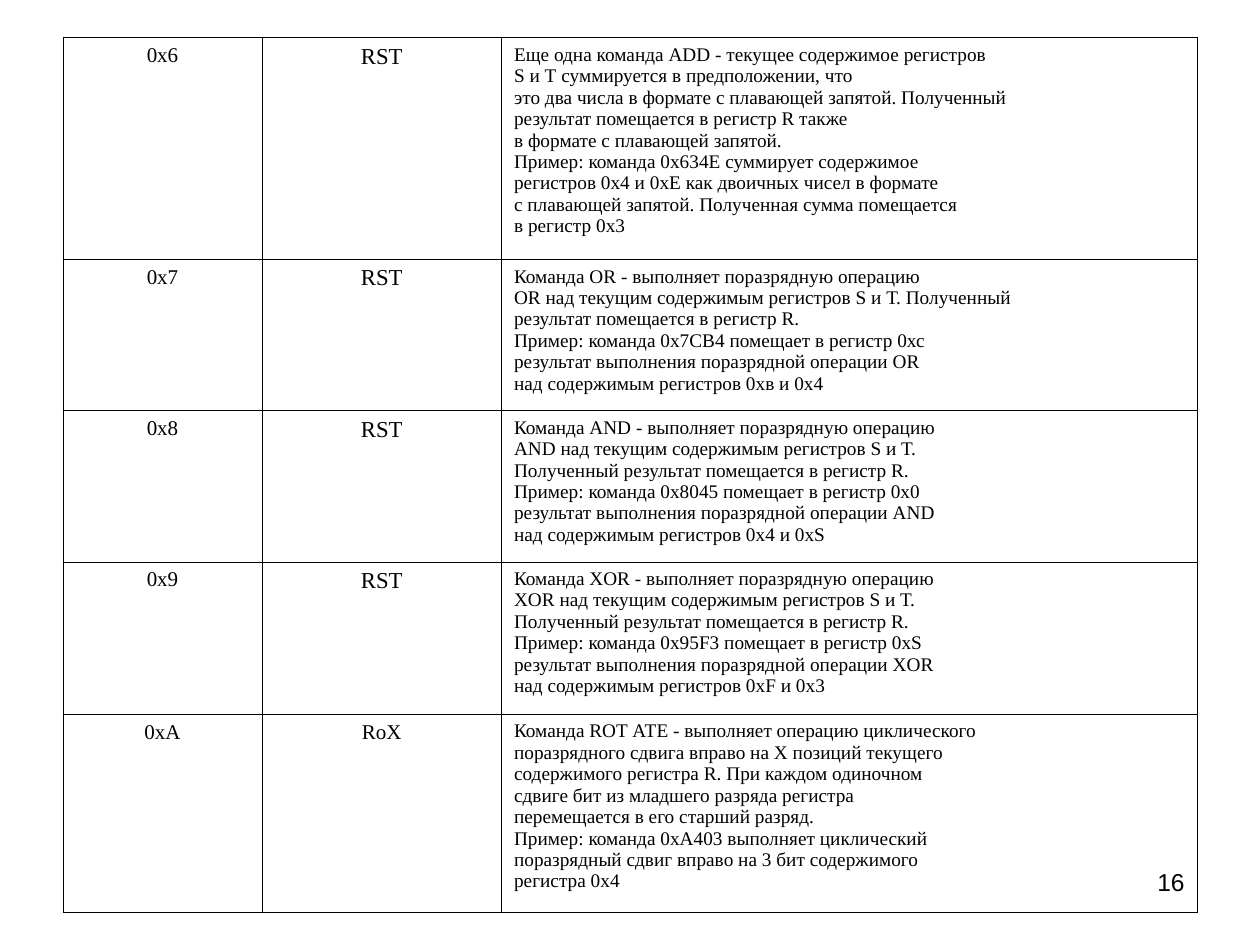
from lxml import etree
from pptx import Presentation
from pptx.dml.color import RGBColor
from pptx.enum.text import PP_ALIGN
from pptx.oxml.ns import qn
from pptx.util import Inches, Pt

LEFT, CENTER, RIGHT = PP_ALIGN.LEFT, PP_ALIGN.CENTER, PP_ALIGN.RIGHT
BLACK = RGBColor(0, 0, 0)
SERIF, SANS = "Times New Roman", "Arial"
WIDTH, HEIGHT = Inches(10), Inches(7.5)
COLS = (1.58, 1.9, 5.52)
ROWS = (1.76, 1.2, 1.2, 1.21, 1.57)
BORDER, HANGING = Pt(0.45), Inches(0.38)

COMMANDS = [
    ("0х6", "RST", 13, """Еще одна команда ADD - текущее содержимое регистров
S и Т суммируется в предположении, что
это два числа в формате с плавающей запятой. Полученный
результат помещается в регистр R также
в формате с плавающей запятой.
Пример: команда 0х634Е суммирует содержимое
регистров 0х4 и 0хЕ как двоичных чисел в формате
с плавающей запятой. Полученная сумма помещается
в регистр 0х3"""),
    ("0х7", "RST", 13, """Команда OR - выполняет поразрядную операцию
OR над текущим содержимым регистров S и Т. Полученный
результат помещается в регистр R.
Пример: команда 0х7СВ4 помещает в регистр 0хс
результат выполнения поразрядной операции OR
над содержимым регистров 0хв и 0х4"""),
    ("0х8", "RST", 13, """Команда AND - выполняет поразрядную операцию
AND над текущим содержимым регистров S и Т.
Полученный результат помещается в регистр R.
Пример: команда 0х8045 помещает в регистр 0х0
результат выполнения поразрядной операции AND
над содержимым регистров 0х4 и 0xS"""),
    ("0х9", "RST", 13, """Команда XOR - выполняет поразрядную операцию
XOR над текущим содержимым регистров S и Т.
Полученный результат помещается в регистр R.
Пример: команда 0х95F3 помещает в регистр 0xS
результат выполнения поразрядной операции XOR
над содержимым регистров 0xF и 0х3"""),
    ("0хA", "RoX", 12, """Команда ROT АТЕ - выполняет операцию циклического
поразрядного сдвига вправо на Х позиций текущего
содержимого регистра R. При каждом одиночном
сдвиге бит из младшего разряда регистра
перемещается в его старший разряд.
Пример: команда 0хА403 выполняет циклический
поразрядный сдвиг вправо на 3 бит содержимого
регистра 0х4"""),
]


def add_lines(tf, text, size, font, align, hanging=0):
    """Write each line of the text as its own paragraph."""
    for i, line in enumerate(text.split("\n")):
        p = tf.add_paragraph() if i else tf.paragraphs[0]
        p.alignment = align
        if hanging:
            pPr = p._p.get_or_add_pPr()
            pPr.set("marL", str(hanging))
            pPr.set("indent", str(-hanging))
        r = p.add_run()
        r.text = line
        r.font.size, r.font.name = Pt(size), font
        r.font.color.rgb = BLACK


def add_borders(cell):
    """Draw a thin solid line on all four sides of a cell."""
    tcPr = cell._tc.get_or_add_tcPr()
    for side in ("a:lnL", "a:lnR", "a:lnT", "a:lnB"):
        ln = etree.SubElement(tcPr, qn(side), w=str(BORDER))
        fill = etree.SubElement(ln, qn("a:solidFill"))
        etree.SubElement(fill, qn("a:srgbClr"), val=str(BLACK))


def add_command_table(s):
    """Add the table of opcodes, operands and descriptions."""
    frame = s.shapes.add_table(len(ROWS), len(COLS), int(WIDTH * 0.05), int(HEIGHT * 0.04),
                               Inches(sum(COLS)), Inches(sum(ROWS)))
    table = frame.table
    table.first_row = table.horz_banding = False
    for column, width in zip(table.columns, COLS):
        column.width = Inches(width)
    for row, height, (opcode, operand, size, description) in zip(table.rows, ROWS, COMMANDS):
        row.height = Inches(height)
        contents = ((opcode, 12, CENTER), (operand, size, CENTER), (description, 11, LEFT))
        for cell, (text, points, align) in zip(row.cells, contents):
            add_lines(cell.text_frame, text, points, SERIF, align, HANGING)
            add_borders(cell)
            cell.fill.background()


def add_page_number(s, number):
    """Add the page number at the lower right."""
    sp = s.shapes.add_textbox(Inches(7.17), Inches(6.83), Inches(2.33), Inches(0.52))
    sp.text_frame.word_wrap = True
    add_lines(sp.text_frame, number, 14, SANS, RIGHT)


def main():
    """Build the slide and save it."""
    prs = Presentation()
    prs.slide_width, prs.slide_height = WIDTH, HEIGHT
    s = prs.slides.add_slide(prs.slide_layouts[6])
    add_command_table(s)
    add_page_number(s, "16")
    prs.save("out.pptx")


if __name__ == "__main__":
    main()
